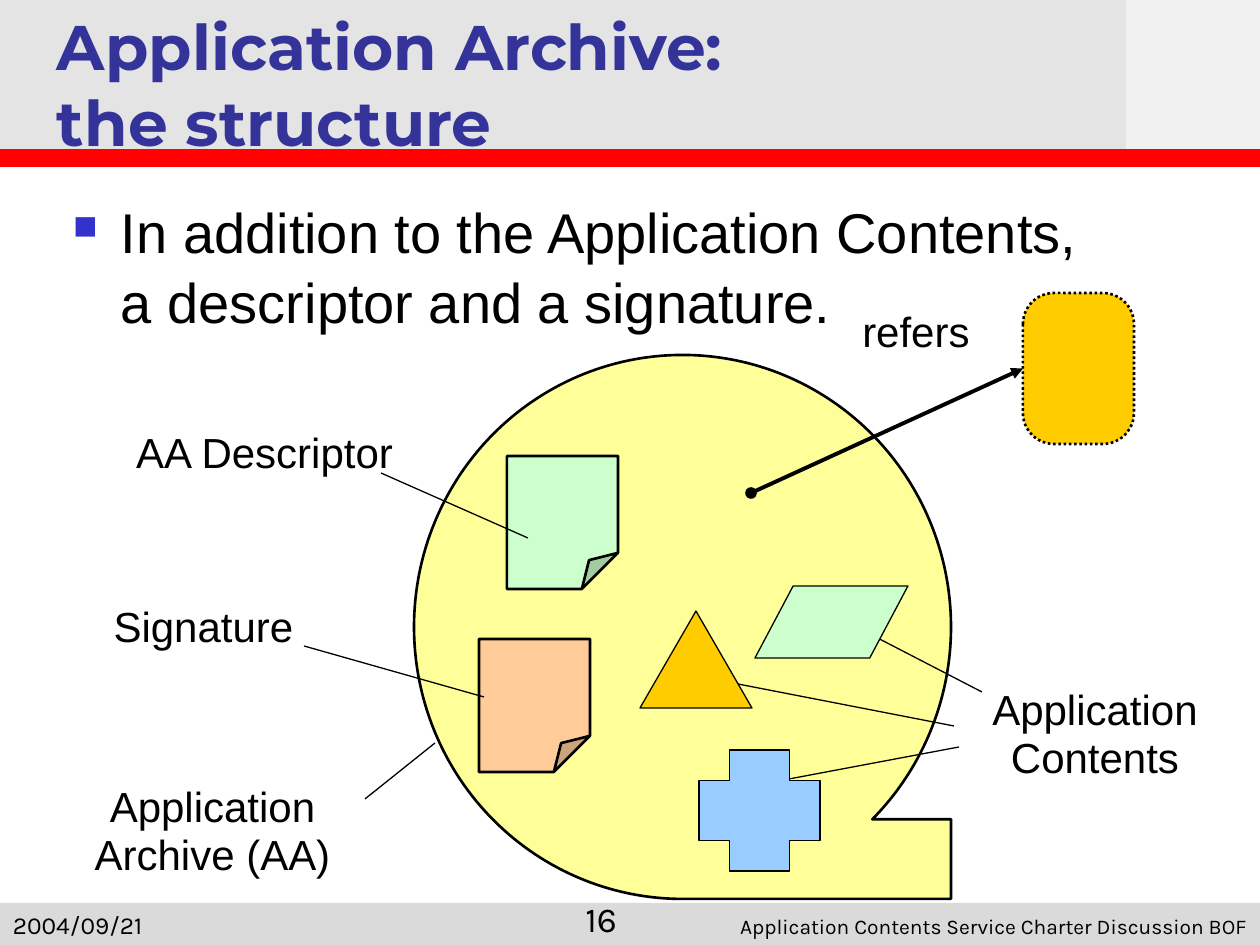
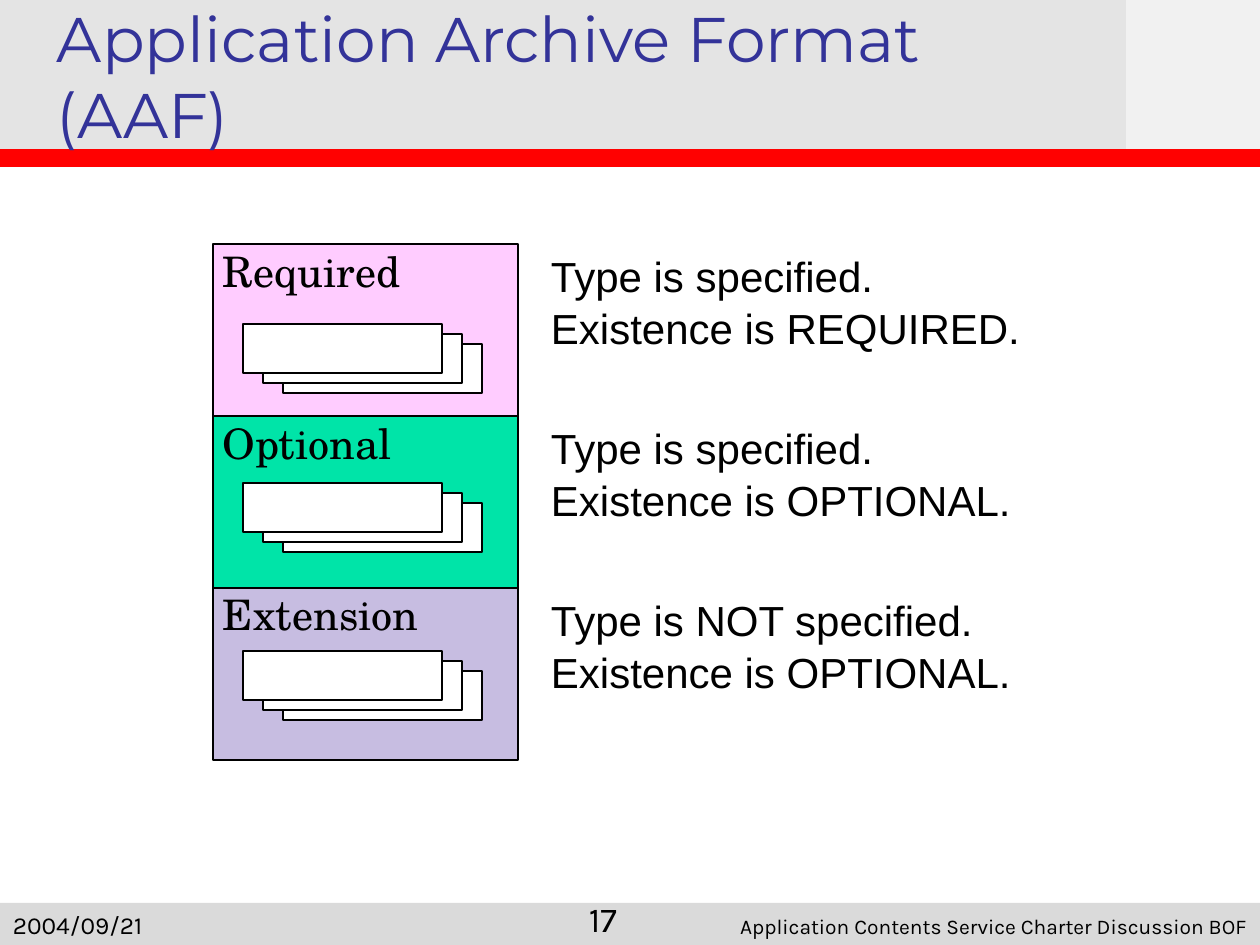
from lxml import etree
from pptx import Presentation
from pptx.dml.color import RGBColor
from pptx.enum.dml import MSO_LINE
from pptx.enum.shapes import MSO_CONNECTOR, MSO_SHAPE
from pptx.enum.text import MSO_ANCHOR, MSO_AUTO_SIZE, PP_ALIGN
from pptx.oxml.ns import qn
from pptx.util import Emu, Pt

PX_PER_INCH = 126
SLIDE_WIDTH, SLIDE_HEIGHT = 1260, 945
TITLE_ONLY = 5

COLORS = {
    "text": "000000", "title": "333399", "bullet": "3333CC",
    "header": "E4E4E4", "corner": "F1F1F1", "rule": "FF0101", "footer": "DADADA",
    "archive": "FFFF99", "green": "CCFFCC", "peach": "FFCC99",
    "gold": "FFCC00", "blue": "99CCFF", "white": "FFFFFF",
    "required": "FFCCFF", "optional": "00E4A8", "extension": "C7BDE1",
}
BODY_FONT, TITLE_FONT = "Arial", "Montserrat"
FOOTER_FONT, SECTION_FONT = "Karla", "TeX Gyre Schola"
DATE = "2004/09/21"
EVENT = "Application Contents Service Charter Discussion BOF"

LEFT, CENTER, RIGHT = PP_ALIGN.LEFT, PP_ALIGN.CENTER, PP_ALIGN.RIGHT
TOP, BOTTOM = MSO_ANCHOR.TOP, MSO_ANCHOR.BOTTOM
RECTANGLE, ROUNDED = MSO_SHAPE.RECTANGLE, MSO_SHAPE.ROUNDED_RECTANGLE
FOLDED_CORNER = MSO_SHAPE.FOLDED_CORNER
TAPE = MSO_SHAPE.FLOWCHART_SEQUENTIAL_ACCESS_STORAGE
TRIANGLE, PARALLELOGRAM = MSO_SHAPE.ISOSCELES_TRIANGLE, MSO_SHAPE.PARALLELOGRAM
CROSS = MSO_SHAPE.CROSS
STRAIGHT = MSO_CONNECTOR.STRAIGHT
DOTTED = MSO_LINE.ROUND_DOT
LEFT_SIDE = 1


def px(length):
    return Emu(round(length * 914400 / PX_PER_INCH))


def rgb(name):
    return RGBColor.from_string(COLORS[name])


def format_text(shape, size, font=BODY_FONT, color="text", bold=False, align=LEFT,
                anchor=TOP, spacing=1.0, insets=(13, 6)):
    frame = shape.text_frame
    frame.word_wrap = True
    frame.auto_size = MSO_AUTO_SIZE.NONE
    frame.vertical_anchor = anchor
    frame.margin_left = frame.margin_right = px(insets[0])
    frame.margin_top = frame.margin_bottom = px(insets[1])
    for paragraph in frame.paragraphs:
        paragraph.alignment = align
        paragraph.line_spacing = spacing
        for run in paragraph.runs:
            run.font.size = Pt(size)
            run.font.name = font
            run.font.bold = bold
            run.font.color.rgb = rgb(color)


def add_text(slide, text, box, size, **style):
    shape = slide.shapes.add_textbox(*map(px, box))
    shape.text_frame.text = text
    format_text(shape, size, **style)
    return shape


def add_label(slide, text, box):
    add_text(slide, text, box, 24, align=CENTER, spacing=0.94)


def add_bullet_text(slide, text, box):
    shape = add_text(slide, text, box, 32, spacing=1.04)
    properties = shape.text_frame.paragraphs[0]._p.get_or_add_pPr()
    properties.set("marL", str(px(48)))
    properties.set("indent", str(px(-48)))
    bullet_color = etree.SubElement(properties, qn("a:buClr"))
    etree.SubElement(bullet_color, qn("a:srgbClr"), val=COLORS["bullet"])
    etree.SubElement(properties, qn("a:buSzPct"), val="60000")
    etree.SubElement(properties, qn("a:buChar"), char="■")


def add_shape(slide, kind, box, fill, line_width=0.75):
    """Add a filled shape; a line width of 0 leaves it without an outline."""
    shape = slide.shapes.add_shape(kind, *map(px, box))
    shape.shadow.inherit = False
    shape.fill.solid()
    shape.fill.fore_color.rgb = rgb(fill)
    if line_width:
        shape.line.color.rgb = rgb("text")
        shape.line.width = Pt(line_width)
    else:
        shape.line.fill.background()
    return shape


def add_folded_page(slide, box, fill):
    page = add_shape(slide, FOLDED_CORNER, box, fill, 1.5)
    geometry = page._element.spPr.find(qn("a:prstGeom"))
    guides = geometry.find(qn("a:avLst"))
    if guides is None:
        guides = etree.SubElement(geometry, qn("a:avLst"))
    for guide in list(guides):
        guides.remove(guide)
    etree.SubElement(guides, qn("a:gd"), name="adj", fmla="val 32500")


def add_line(slide, start, end, width=0.75, color="text"):
    line = slide.shapes.add_connector(STRAIGHT, *map(px, start + end))
    line.line.color.rgb = rgb(color)
    line.line.width = Pt(width)
    etree.SubElement(line._element.spPr, qn("a:effectLst"))
    return line


def add_arrow(slide, start, target):
    """Draw an arrow from a dot at start to the left side of target."""
    arrow = add_line(slide, start, start, 2.25)
    arrow.end_connect(target, LEFT_SIDE)
    outline = arrow.line._get_or_add_ln()
    etree.SubElement(outline, qn("a:headEnd"), type="oval")
    etree.SubElement(outline, qn("a:tailEnd"), type="triangle")


def add_slide(presentation, title, number, title_top, bold=False):
    """Add a slide with the shared bands, footers and title style."""
    slide = presentation.slides.add_slide(presentation.slide_layouts[TITLE_ONLY])
    add_shape(slide, RECTANGLE, (0, 903, SLIDE_WIDTH, 42), "footer", 0)
    add_shape(slide, RECTANGLE, (0, 0, SLIDE_WIDTH, 167), "header", 0)
    add_line(slide, (0, 158), (SLIDE_WIDTH, 158), 10, "rule")
    add_shape(slide, RECTANGLE, (1126, 0, 134, 149), "corner", 0)

    heading = slide.shapes.title
    heading.left, heading.top, heading.width, heading.height = map(
        px, (44, title_top, 1073, 157))
    heading.text_frame.text = title
    format_text(heading, 36, font=TITLE_FONT, color="title", bold=bold, anchor=BOTTOM)
    heading._element.getparent().append(heading._element)  # above the bands

    footers = (
        (EVENT, (651, 913, 609, 32), 12, RIGHT),
        (str(number), (494, 913, 136, 32), 20, RIGHT),
        (DATE, (0, 882, 262, 63), 14, LEFT),
    )
    for text, box, size, align in footers:
        add_text(slide, text, box, size, font=FOOTER_FONT, align=align, anchor=BOTTOM)
    return slide


def build_structure(presentation):
    slide = add_slide(presentation, "Application Archive:\vthe structure", 16, 8, bold=True)
    add_bullet_text(
        slide, "In addition to the Application Contents, a descriptor and a signature.",
        (60, 189, 1071, 160))

    add_shape(slide, TAPE, (414, 355, 537, 544), "archive", 1.5)
    add_folded_page(slide, (507, 456, 111, 133), "green")
    add_folded_page(slide, (479, 639, 111, 133), "peach")
    referred = add_shape(slide, ROUNDED, (1023, 293, 111, 151), "gold", 1.5)
    referred.adjustments[0] = 0.28
    referred.line.dash_style = DOTTED
    add_arrow(slide, (751, 493), referred)

    labels = (
        ("AA Descriptor", (86, 425, 357, 76)),
        ("Signature", (83, 599, 241, 83)),
        ("Application Archive (AA)", (34, 779, 357, 117)),
        ("Application Contents", (966, 682, 258, 110)),
        ("refers", (828, 304, 176, 79)),
    )
    for text, box in labels:
        add_label(slide, text, box)

    leaders = (
        ((365, 799), (435, 743)),
        ((304, 646), (484, 697)),
        ((381, 473), (528, 538)),
        ((835, 616), (982, 692)),
        ((707, 678), (954, 726)),
        ((789, 779), (959, 747)),
    )
    for start, end in leaders:
        add_line(slide, start, end)

    add_shape(slide, TRIANGLE, (640, 611, 112, 97), "gold")
    parallelogram = add_shape(slide, PARALLELOGRAM, (755, 586, 153, 72), "green")
    parallelogram.adjustments[0] = 0.53
    add_shape(slide, CROSS, (699, 750, 121, 121), "blue")


def add_stack(slide, top):
    """Draw three overlapping cards, the front one at the upper left."""
    for depth in (2, 1, 0):
        add_shape(slide, RECTANGLE, (243 + 20 * depth, top + 10 * depth, 199, 49), "white")


def build_format(presentation):
    slide = add_slide(presentation, "Application Archive Format (AAF)", 17, 0)
    sections = (
        ("Required", "required", "Type is specified.\nExistence is REQUIRED.", 324),
        ("Optional", "optional", "Type is specified.\nExistence is OPTIONAL.", 483),
        ("Extension", "extension", "Type is NOT specified.\nExistence is OPTIONAL.", 651),
    )
    row_height = 172
    for index, (name, fill, rule, stack_top) in enumerate(sections):
        top = 244 + index * row_height
        section = add_shape(slide, RECTANGLE, (213, top, 305, row_height), fill)
        section.text_frame.text = name
        format_text(section, 24, font=SECTION_FONT, insets=(10, 1))
        add_text(slide, rule, (541, top, 620, row_height), 24,
                 spacing=1.04, insets=(10, 4))
        add_stack(slide, stack_top)


def main():
    presentation = Presentation()
    presentation.slide_width = px(SLIDE_WIDTH)
    presentation.slide_height = px(SLIDE_HEIGHT)
    build_structure(presentation)
    build_format(presentation)
    presentation.save("out.pptx")


if __name__ == "__main__":
    main()
